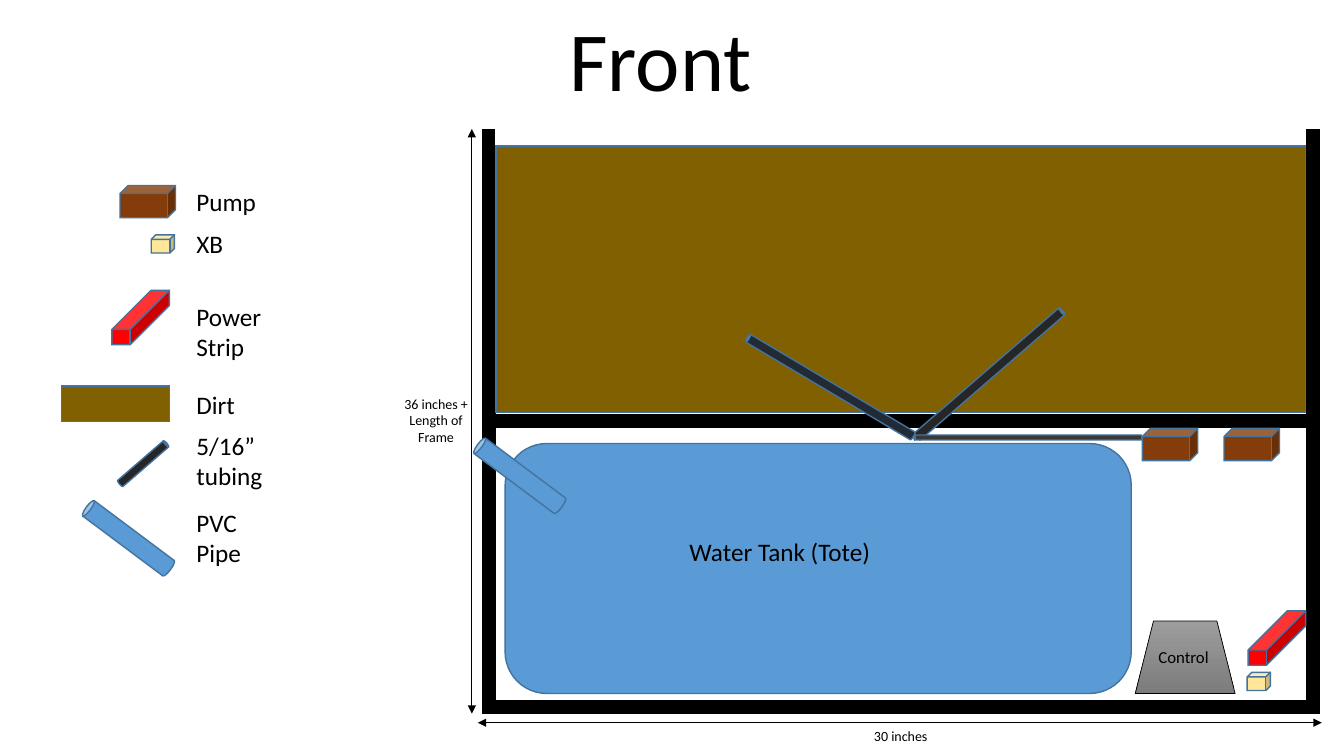
from lxml import etree
from pptx import Presentation
from pptx.dml.color import RGBColor
from pptx.enum.shapes import MSO_CONNECTOR, MSO_SHAPE
from pptx.enum.text import MSO_ANCHOR, PP_ALIGN
from pptx.oxml.ns import qn
from pptx.util import Inches, Pt

BLACK, WHITE, OUTLINE = "000000", "FFFFFF", "43739E"
WATER, DIRT, PUMP, XB, POWER = "5B9BD5", "806000", "843C0B", "FFE699", "FF0000"
RECT, CUBE, CAN = MSO_SHAPE.RECTANGLE, MSO_SHAPE.CUBE, MSO_SHAPE.CAN

prs = Presentation()
prs.slide_width, prs.slide_height = Inches(13.33), Inches(7.5)
slide = prs.slides.add_slide(prs.slide_layouts[6])


def add_part(kind, box, fill, line=OUTLINE, weight=1, rotation=0, adjust=None):
    part = slide.shapes.add_shape(kind, *[Inches(v) for v in box])
    part.shadow.inherit = False
    part.fill.solid()
    part.fill.fore_color.rgb = RGBColor.from_string(fill)
    part.line.color.rgb = RGBColor.from_string(line)
    part.line.width = Pt(weight)
    etree.SubElement(part.line._get_or_add_ln(), qn("a:miter"), lim="800000")
    part.rotation = rotation
    if adjust is not None:
        part.adjustments[0] = adjust
    return part


def add_label(text, box, size=18, align=PP_ALIGN.LEFT, wrap=True):
    frame = slide.shapes.add_textbox(*[Inches(v) for v in box]).text_frame
    frame.word_wrap = wrap
    frame.text = text
    for paragraph in frame.paragraphs:
        paragraph.alignment = align
        paragraph.font.size = Pt(size)
        paragraph.font.name = "Calibri"
        paragraph.font.color.rgb = RGBColor.from_string(BLACK)
    return frame


for top in (4.18, 1.35):
    add_part(RECT, (4.85, top, 8.17, 2.83), WHITE, BLACK, 10)

for ends in ((4.68, 1.28, 4.68, 7.08), (4.74, 7.17, 13.11, 7.17)):
    dimension = slide.shapes.add_connector(MSO_CONNECTOR.STRAIGHT, *[Inches(v) for v in ends])
    dimension.line.color.rgb = RGBColor.from_string(BLACK)
    dimension.line.width = Pt(0.5)
    for arrowhead in ("a:headEnd", "a:tailEnd"):
        etree.SubElement(dimension.line._get_or_add_ln(), qn(arrowhead), type="triangle")
    etree.SubElement(dimension._element.spPr, qn("a:effectLst"))

add_label("36 inches +\nLength of Frame", (3.9, 3.87, 0.85, 0.61), 10, PP_ALIGN.CENTER)
add_label("30 inches", (8.57, 7.17, 0.74, 0.27), 10, wrap=False)

add_part(MSO_SHAPE.ROUNDED_RECTANGLE, (5.01, 4.4, 6.21, 2.48), WATER)
add_label("Water Tank (Tote)", (6.74, 5.27, 2.43, 0.4))
add_part(RECT, (4.92, 0.86, 8.03, 0.62), WHITE, WHITE)
for box in ((4.92, 1.45, 8.03, 2.64), (0.61, 3.83, 1.07, 0.35)):
    add_part(RECT, box, DIRT)

title = add_label("Front", (0.8, 0.19, 11.5, 0.93), 60, PP_ALIGN.CENTER)
title.vertical_anchor = MSO_ANCHOR.BOTTOM
title.paragraphs[0].line_spacing = 0.8

controller = add_part(MSO_SHAPE.TRAPEZOID, (11.26, 6.16, 0.99, 0.72), "909090", BLACK, 0.5, adjust=0.251)
controller.fill.gradient()
controller.fill.gradient_angle = 270
for stop, color, position in zip(controller.fill.gradient_stops, ("9D9D9D", "7C7C7C"), (0, 1)):
    stop.color.rgb = RGBColor.from_string(color)
    stop.position = position
add_label("Control", (11.39, 6.37, 0.75, 0.3), 12)

for left, top in ((1.19, 1.84), (11.33, 4.25), (12.14, 4.25)):
    add_part(CUBE, (left, top, 0.55, 0.32), PUMP)
for left, top in ((1.5, 2.33), (12.37, 6.67)):
    add_part(CUBE, (left, top, 0.23, 0.18), XB)
for left, top in ((1.11, 2.88), (12.38, 6.06)):
    add_part(CUBE, (left, top, 0.57, 0.54), POWER, adjust=0.719)
for left, top in ((1.18, 4.82), (5.06, 4.2)):
    add_part(CAN, (left, top, 0.19, 1.04), WATER, rotation=306.8)

for box, color, rotation in (
    ((9.77, 2.75, 0.09, 1.92), "262626", 49.1),
    ((10.17, 3.21, 0.05, 2.26), "3B3838", 270),
    ((8.19, 2.88, 0.09, 1.92), "222A35", 300.7),
    ((1.38, 4.29, 0.08, 0.62), "262626", 49.1),
):
    add_part(CAN, box, color, rotation=rotation)

for name, top, height in (
    ("Pump", 1.8, 0.4),
    ("XB", 2.22, 0.4),
    ("Power Strip", 2.94, 0.71),
    ("Dirt", 3.81, 0.4),
    ("5/16” tubing", 4.22, 0.71),
    ("PVC Pipe", 4.98, 0.71),
):
    add_label(name, (1.85, top, 0.94, height))

prs.save("out.pptx")
